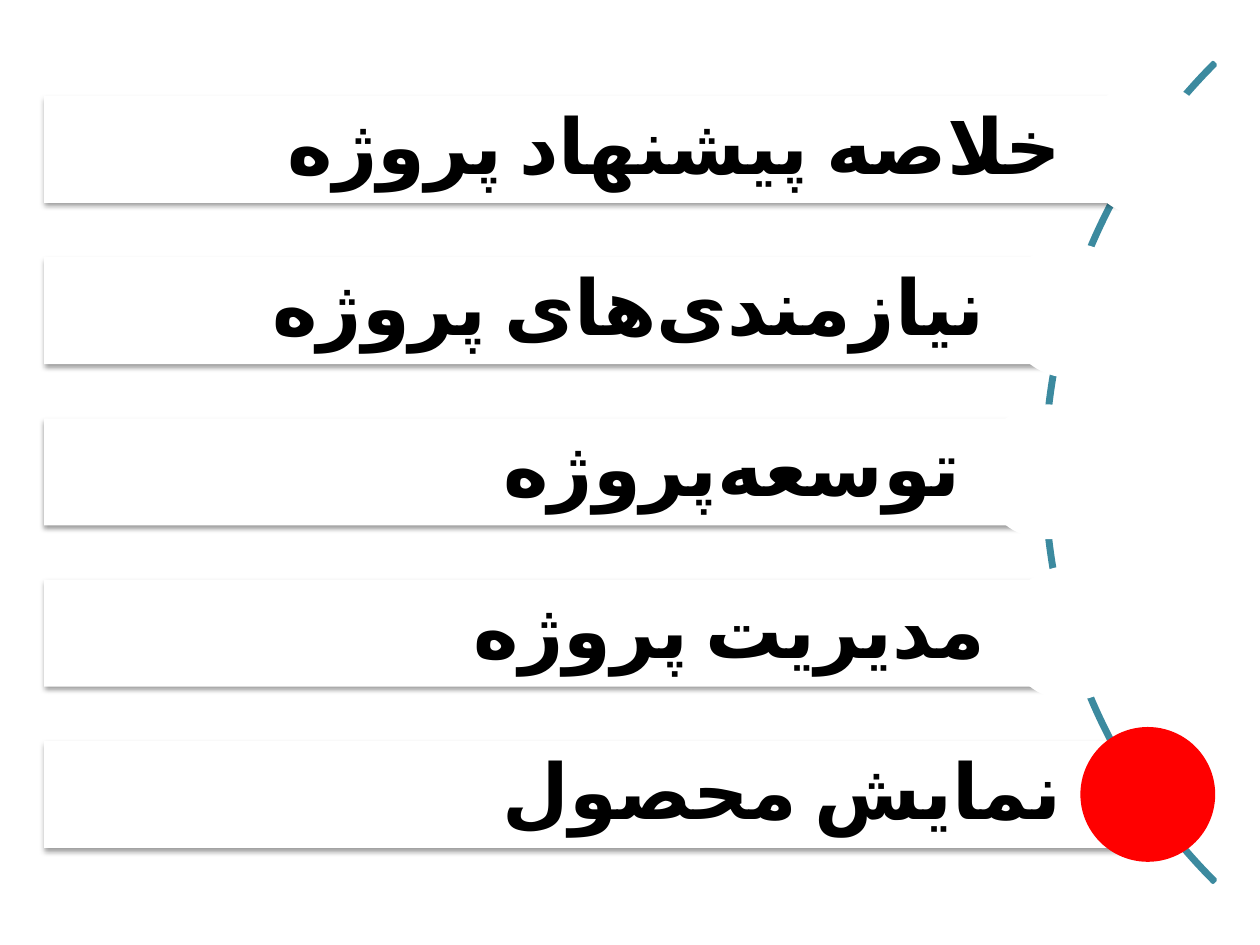
from dataclasses import dataclass

from lxml import etree
from pptx import Presentation
from pptx.dml.color import RGBColor
from pptx.enum.shapes import MSO_SHAPE
from pptx.enum.text import MSO_ANCHOR, PP_ALIGN
from pptx.oxml.ns import qn
from pptx.util import Inches, Pt

BLOCK_ARC = MSO_SHAPE.BLOCK_ARC
RECTANGLE = MSO_SHAPE.RECTANGLE
OVAL = MSO_SHAPE.OVAL
MIDDLE = MSO_ANCHOR.MIDDLE
JUSTIFY = PP_ALIGN.JUSTIFY

TEAL = RGBColor(0x3C, 0x8A, 0x9F)
WHITE = RGBColor(0xFF, 0xFF, 0xFF)
BLACK = RGBColor(0x00, 0x00, 0x00)
RED = RGBColor(0xFF, 0x00, 0x00)

FONT = "Calibri"
NON_JOINER = chr(0x200C)
BAR_LEFT, BAR_TOP, BAR_HEIGHT, BAR_STEP = 0.35, 0.76, 0.85, 1.28
CIRCLE_SIZE = 1.07


@dataclass
class Topic:
    text: str
    width: float
    circle_color: RGBColor = WHITE


TOPICS = [
    Topic("خلاصه پیشنهاد پروژه", 8.76),
    Topic(NON_JOINER.join(("نیازمندی", "های پروژه")), 8.15),
    Topic(NON_JOINER.join(("توسعه", "پروژه")), 7.96),
    Topic("مدیریت پروژه", 8.15),
    Topic("نمایش محصول", 8.76, RED),
]


def add_filled(s, kind, left: float, top: float, width: float, height: float, color: RGBColor):
    sp = s.shapes.add_shape(kind, Inches(left), Inches(top), Inches(width), Inches(height))
    sp.shadow.inherit = False
    sp.fill.solid()
    sp.fill.fore_color.rgb = color
    sp.line.fill.background()
    return sp


def add_arc(s) -> None:
    sp = s.shapes.add_shape(BLOCK_ARC, Inches(8.28), Inches(-0.85), Inches(9.2), Inches(9.2))
    sp.shadow.inherit = False
    for i, value in enumerate((81, 135, 0.003)):
        sp.adjustments[i] = value
    sp.fill.background()
    sp.line.color.rgb = TEAL
    sp.line.width = Pt(2)


def add_drop_shadow(sp) -> None:
    effects = sp._element.spPr.find(qn("a:effectLst"))
    shadow = etree.SubElement(effects, qn("a:outerShdw"), blurRad=str(Pt(3.1)),
                              dist=str(Pt(1.6)), dir="5400000", rotWithShape="0")
    color = etree.SubElement(shadow, qn("a:srgbClr"), val=str(BLACK))
    etree.SubElement(color, qn("a:alpha"), val="38000")


def write_rtl(sp, text: str, *, size: float, color: RGBColor, bold: bool) -> None:
    tf = sp.text_frame
    tf.word_wrap = True
    tf.vertical_anchor = MIDDLE
    tf.margin_left = tf.margin_top = tf.margin_bottom = Inches(0.12)
    tf.margin_right = Inches(0.68)
    p = tf.paragraphs[0]
    p.alignment = JUSTIFY
    p.line_spacing = 0.9
    p._p.get_or_add_pPr().set("rtl", "1")
    r = p.add_run()
    r.text = text
    r.font.name = FONT
    r.font.size = Pt(size)
    r.font.bold = bold
    r.font.color.rgb = color
    rPr = r._r.get_or_add_rPr()
    rPr.set("lang", "fa-IR")
    etree.SubElement(rPr, qn("a:cs"), typeface=FONT)


def add_topic(s, topic: Topic, top: float) -> None:
    bar = add_filled(s, RECTANGLE, BAR_LEFT, top, topic.width, BAR_HEIGHT, WHITE)
    add_drop_shadow(bar)
    write_rtl(bar, topic.text, size=44, color=BLACK, bold=True)
    add_filled(s, OVAL, BAR_LEFT + topic.width - CIRCLE_SIZE / 2,
               top + (BAR_HEIGHT - CIRCLE_SIZE) / 2,
               CIRCLE_SIZE, CIRCLE_SIZE, topic.circle_color)


def main() -> None:
    prs = Presentation()
    prs.slide_width = Inches(10)
    prs.slide_height = Inches(7.5)
    s = prs.slides.add_slide(prs.slide_layouts[6])
    add_arc(s)
    for i, topic in enumerate(TOPICS):
        add_topic(s, topic, BAR_TOP + i * BAR_STEP)
    prs.save("out.pptx")


if __name__ == "__main__":
    main()
